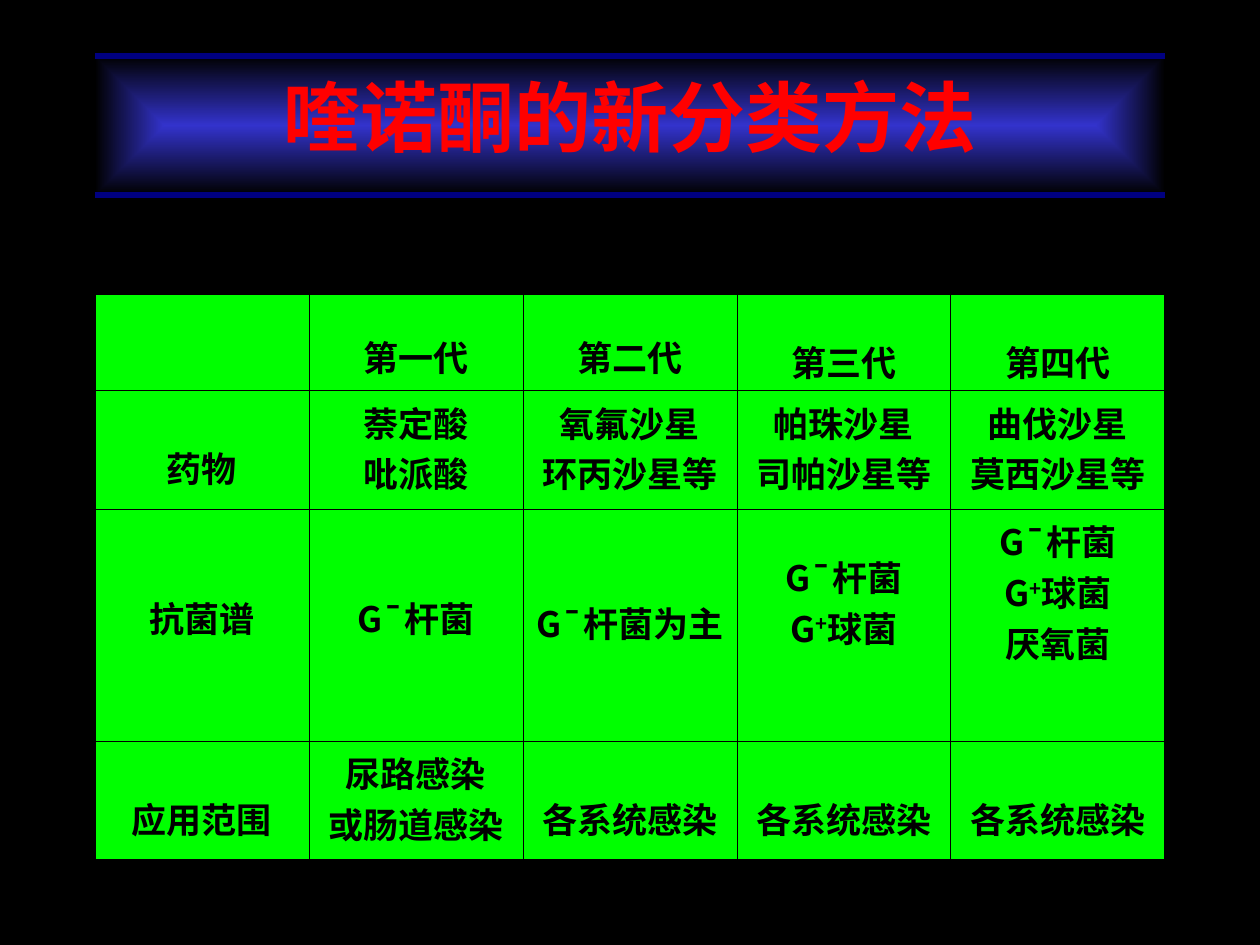
from lxml import etree
from pptx import Presentation
from pptx.dml.color import RGBColor
from pptx.enum.shapes import MSO_CONNECTOR, MSO_SHAPE
from pptx.enum.text import MSO_ANCHOR, PP_ALIGN
from pptx.oxml import parse_xml
from pptx.oxml.ns import qn
from pptx.util import Emu, Pt

RECTANGLE = MSO_SHAPE.RECTANGLE
STRAIGHT = MSO_CONNECTOR.STRAIGHT
MIDDLE = MSO_ANCHOR.MIDDLE
CENTER = PP_ALIGN.CENTER
DRAWING_NS = "http://schemas.openxmlformats.org/drawingml/2006/main"
SCALE = 914400 / 126
COLORS = {"black": "000000", "blue": "3333CC", "navy": "000080",
          "red": "FF0000", "green": "00FF00"}
TABLE_FONT = "Noto Sans CJK SC"


def px(length):
    return Emu(round(length * SCALE))


def add_run(paragraph, text, font_name, size, color):
    run = paragraph.add_run()
    run.text = text
    run.font.name = font_name
    run.font.size = Pt(size)
    run.font.bold = True
    run.font.color.rgb = RGBColor.from_string(COLORS[color])
    return run


presentation = Presentation()
presentation.slide_width = px(1260)
presentation.slide_height = px(945)
slide = presentation.slides.add_slide(presentation.slide_layouts[6])
slide.background.fill.solid()
slide.background.fill.fore_color.rgb = RGBColor.from_string(COLORS["black"])

LEFT, WIDTH = 95, 1070

# Title band, glowing from its centre
band = slide.shapes.add_shape(RECTANGLE, px(LEFT), px(56), px(WIDTH), px(139))
band.shadow.inherit = False
band.line.fill.background()
band.fill.gradient()
for stop, color in zip(band.fill.gradient_stops, ("blue", "black")):
    stop.color.rgb = RGBColor.from_string(COLORS[color])
linear = band.element.spPr.find(".//" + qn("a:lin"))
linear.getparent().replace(linear, parse_xml(
    f'<a:path xmlns:a="{DRAWING_NS}" path="rect">'
    '<a:fillToRect l="50000" t="50000" r="50000" b="50000"/></a:path>'))

# Rules below and above the band
for y in (195, 56):
    rule = slide.shapes.add_connector(STRAIGHT, px(LEFT), px(y), px(LEFT + WIDTH), px(y))
    rule.line.color.rgb = RGBColor.from_string(COLORS["navy"])
    rule.line.width = Pt(3)
    etree.SubElement(rule.element.spPr, qn("a:effectLst"))

# Title
title = slide.shapes.add_textbox(px(LEFT), px(53), px(WIDTH), px(126))
title.text_frame.word_wrap = True
title.text_frame.vertical_anchor = MIDDLE
paragraph = title.text_frame.paragraphs[0]
paragraph.alignment = CENTER
add_run(paragraph, "喹诺酮的新分类方法", "Times New Roman", 44, "red")

# Table: each cell is the line spacing of its first paragraph and its lines;
# "^" marks a raised plus sign
ROW_HEIGHTS = [96, 119, 232, 119]
SIDE_MARGIN = 5  # narrow enough for the longest line to stay on one line
CELLS = [
    [(1, []), (1.6, ["第一代"]), (1.6, ["第二代"]), (1.7, ["第三代"]), (1.7, ["第四代"])],
    [(1.9, ["药物"]), (1, ["萘定酸", "吡派酸"]), (1, ["氧氟沙星", "环丙沙星等"]),
     (1, ["帕珠沙星", "司帕沙星等"]), (1, ["曲伐沙星", "莫西沙星等"])],
    [(2.5, ["抗菌谱"]), (2.5, ["G¯杆菌"]), (2.6, ["G¯杆菌为主"]),
     (1.7, ["G¯杆菌", "G^球菌"]), (1, ["G¯杆菌", "G^球菌", "厌氧菌"])],
    [(1.9, ["应用范围"]), (1, ["尿路感染", "或肠道感染"])] + [(1.9, ["各系统感染"])] * 3,
]
row_count, column_count = len(CELLS), len(CELLS[0])
table = slide.shapes.add_table(row_count, column_count, px(LEFT), px(294),
                               px(WIDTH), px(sum(ROW_HEIGHTS))).table
table.first_row = False
table.horz_banding = False
for column in table.columns:
    column.width = px(WIDTH // column_count)

for row_index, row in enumerate(CELLS):
    table.rows[row_index].height = px(ROW_HEIGHTS[row_index])
    for column_index, (spacing, lines) in enumerate(row):
        cell = table.cell(row_index, column_index)
        cell.margin_left = cell.margin_right = px(SIDE_MARGIN)
        cell.fill.solid()
        cell.fill.fore_color.rgb = RGBColor.from_string(COLORS["green"])

        # Borders, heavier along the outer edge
        outer_edges = {"L": column_index == 0, "R": column_index == column_count - 1,
                       "T": row_index == 0, "B": row_index == row_count - 1}
        properties = cell._tc.get_or_add_tcPr()
        for position, (side, outer) in enumerate(outer_edges.items()):
            width = Pt(1.08 if outer else 0.45)
            properties.insert(position, parse_xml(
                f'<a:ln{side} xmlns:a="{DRAWING_NS}" w="{width}"><a:solidFill>'
                f'<a:srgbClr val="{COLORS["black"]}"/></a:solidFill></a:ln{side}>'))

        # Text
        for line_index, line in enumerate(lines):
            frame = cell.text_frame
            paragraph = frame.add_paragraph() if line_index else frame.paragraphs[0]
            paragraph.alignment = CENTER
            if line_index == 0 and spacing > 1:
                paragraph.line_spacing = spacing
            for text in line.replace("^", "|+|").split("|"):
                run = add_run(paragraph, text, TABLE_FONT, 20, "black")
                run_properties = run.font._element
                etree.SubElement(run_properties, qn("a:ea"), typeface=TABLE_FONT)
                if text == "+":
                    run_properties.set("baseline", "30000")

presentation.save("out.pptx")
